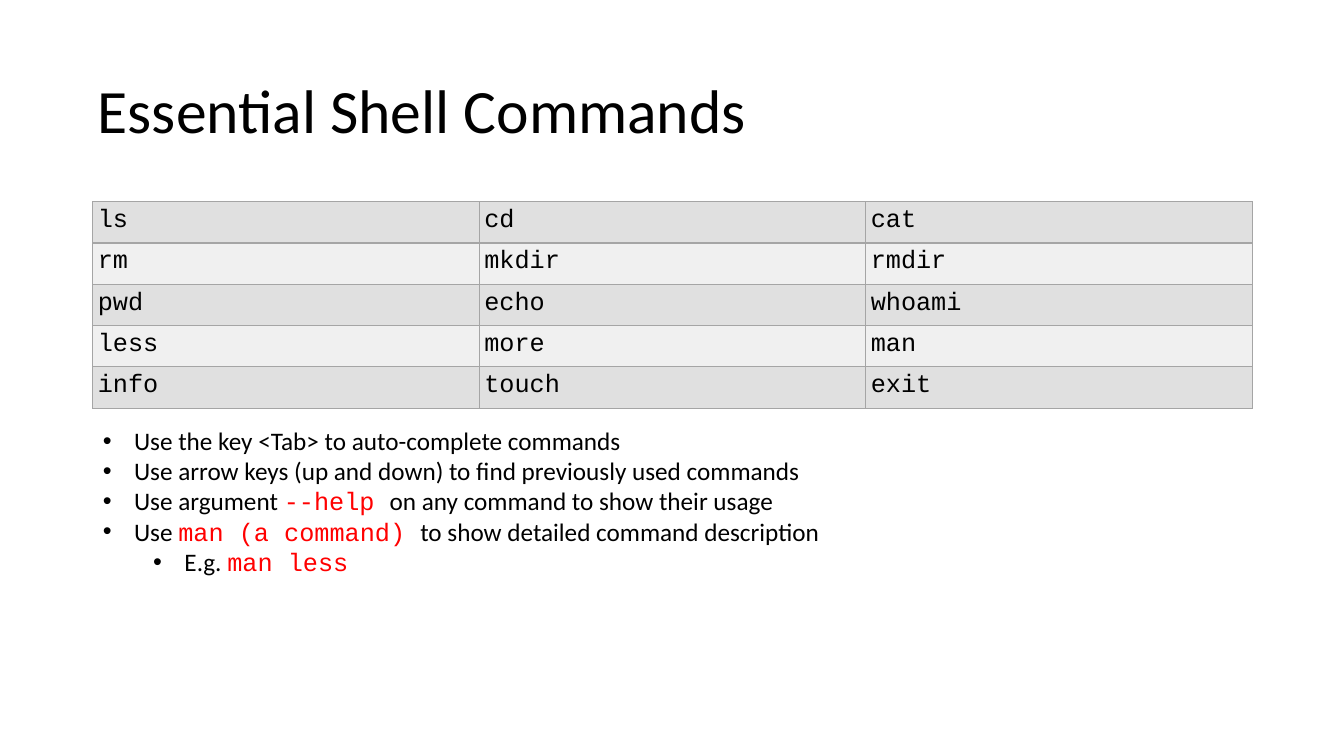
from lxml import etree
from pptx import Presentation
from pptx.dml.color import RGBColor
from pptx.enum.text import MSO_ANCHOR, PP_ALIGN
from pptx.oxml.ns import qn
from pptx.util import Inches, Pt

TITLE = "Essential Shell Commands"
COMMANDS = [
    ("ls", "cd", "cat"),
    ("rm", "mkdir", "rmdir"),
    ("pwd", "echo", "whoami"),
    ("less", "more", "man"),
    ("info", "touch", "exit"),
]
# Each tip is a level and its spans; every second span is code.
TIPS = [
    (0, ["Use the key <Tab> to auto-complete commands"]),
    (0, ["Use arrow keys (up and down) to find previously used commands"]),
    (0, ["Use argument ", "--help ", "on any command to show their usage"]),
    (0, ["Use ", "man (a command) ", "to show detailed command description"]),
    (1, ["E.g. ", "man less"]),
]
COLORS = {"text": "000000", "code": "FF0000", "border": "A5A5A5",
          "odd_row": "E0E0E0", "even_row": "F0F0F0"}
TEXT_FONT, CODE_FONT = "Calibri", "Courier New"
LEFT, WIDTH = 0.92, 11.5
ROW_HEIGHT = 0.41
INSET = 0.05
BULLET_INDENT, LEVEL_INDENT = 0.31, 0.5
MIDDLE, ALIGN_LEFT = MSO_ANCHOR.MIDDLE, PP_ALIGN.LEFT


def set_font(font, name, size, color):
    font.name = name
    font.size = Pt(size)
    font.color.rgb = RGBColor.from_string(COLORS[color])


def set_insets(holder):
    holder.margin_left = holder.margin_right = Inches(INSET)
    holder.margin_top = holder.margin_bottom = Inches(INSET)


def add_borders(cell):
    properties = cell._tc.get_or_add_tcPr()
    for index, side in enumerate(("a:lnL", "a:lnR", "a:lnT", "a:lnB")):
        line = etree.Element(qn(side), w=str(Pt(1)))
        fill = etree.SubElement(line, qn("a:solidFill"))
        etree.SubElement(fill, qn("a:srgbClr"), val=COLORS["border"])
        properties.insert(index, line)


def add_bullet(para, level):
    properties = para._p.get_or_add_pPr()
    properties.set("marL", str(Inches(BULLET_INDENT + level * LEVEL_INDENT)))
    properties.set("indent", str(-Inches(BULLET_INDENT)))
    etree.SubElement(properties, qn("a:buFont"), typeface="Arial")
    etree.SubElement(properties, qn("a:buChar"), char="•")


def add_title(slide):
    title = slide.shapes.title
    title.left, title.top = Inches(LEFT), Inches(0.4)
    title.width, title.height = Inches(WIDTH), Inches(1.45)
    frame = title.text_frame
    frame.text = TITLE
    frame.vertical_anchor = MIDDLE
    set_insets(frame)
    para = frame.paragraphs[0]
    para.alignment = ALIGN_LEFT
    para.line_spacing = 0.9
    set_font(para.font, TEXT_FONT, 44, "text")


def add_command_table(slide):
    row_count, column_count = len(COMMANDS), len(COMMANDS[0])
    table = slide.shapes.add_table(
        row_count, column_count, Inches(LEFT), Inches(2),
        Inches(WIDTH), Inches(ROW_HEIGHT * row_count)).table
    table.first_row = False
    table.horz_banding = False
    for row, commands in enumerate(COMMANDS):
        band = "even_row" if row % 2 else "odd_row"
        for column, command in enumerate(commands):
            cell = table.cell(row, column)
            cell.text = command
            set_insets(cell)
            cell.fill.solid()
            cell.fill.fore_color.rgb = RGBColor.from_string(COLORS[band])
            add_borders(cell)
            set_font(cell.text_frame.paragraphs[0].font, CODE_FONT, 18, "text")


def add_tips(slide):
    box = slide.shapes.add_textbox(
        Inches(0.97), Inches(4.17), Inches(11.4), Inches(2.02))
    frame = box.text_frame
    frame.word_wrap = True
    set_insets(frame)
    for index, (level, spans) in enumerate(TIPS):
        para = frame.add_paragraph() if index else frame.paragraphs[0]
        para.level = level
        add_bullet(para, level)
        set_font(para.font, TEXT_FONT, 18, "text")
        for position, text in enumerate(spans):
            span = para.add_run()
            span.text = text
            if position % 2:
                set_font(span.font, CODE_FONT, 18, "code")


def main():
    deck = Presentation()
    deck.slide_width, deck.slide_height = Inches(13.33), Inches(7.5)
    slide = deck.slides.add_slide(deck.slide_layouts.get_by_name("Title Only"))
    add_title(slide)
    add_command_table(slide)
    add_tips(slide)
    deck.save("out.pptx")


if __name__ == "__main__":
    main()
